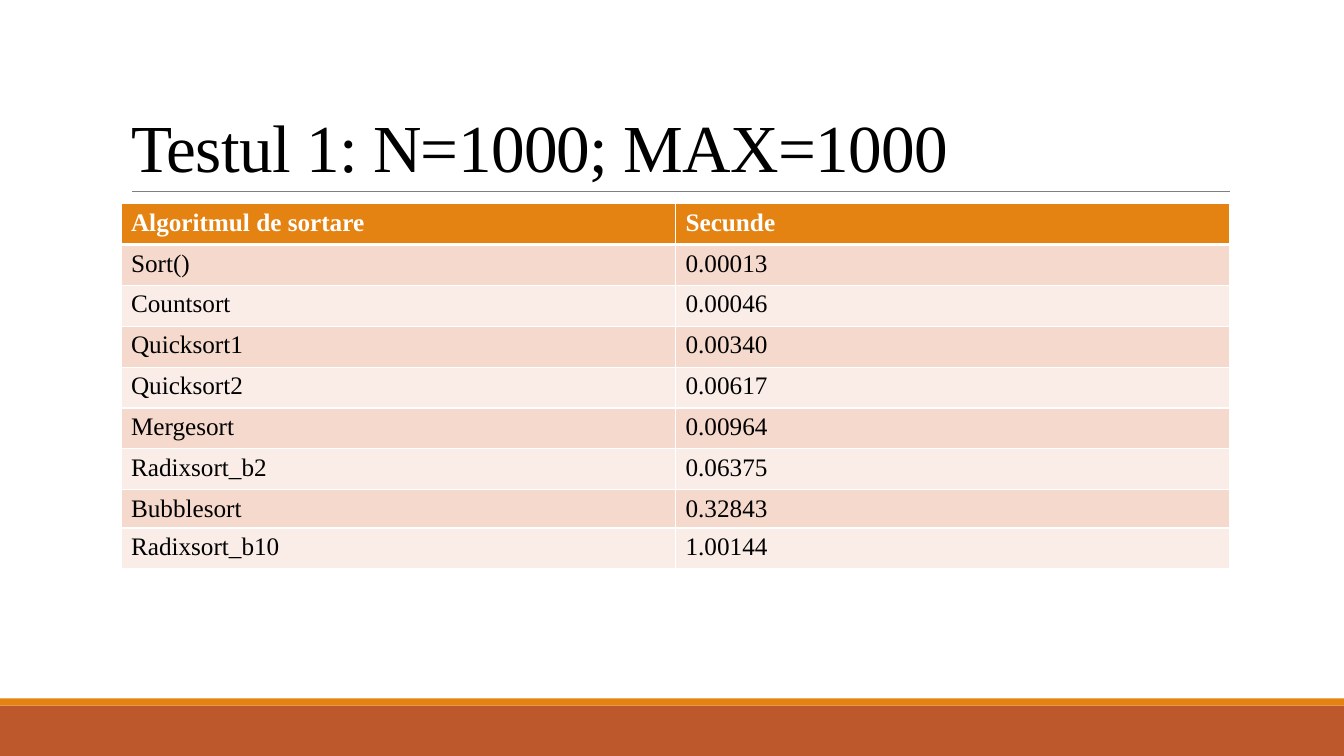
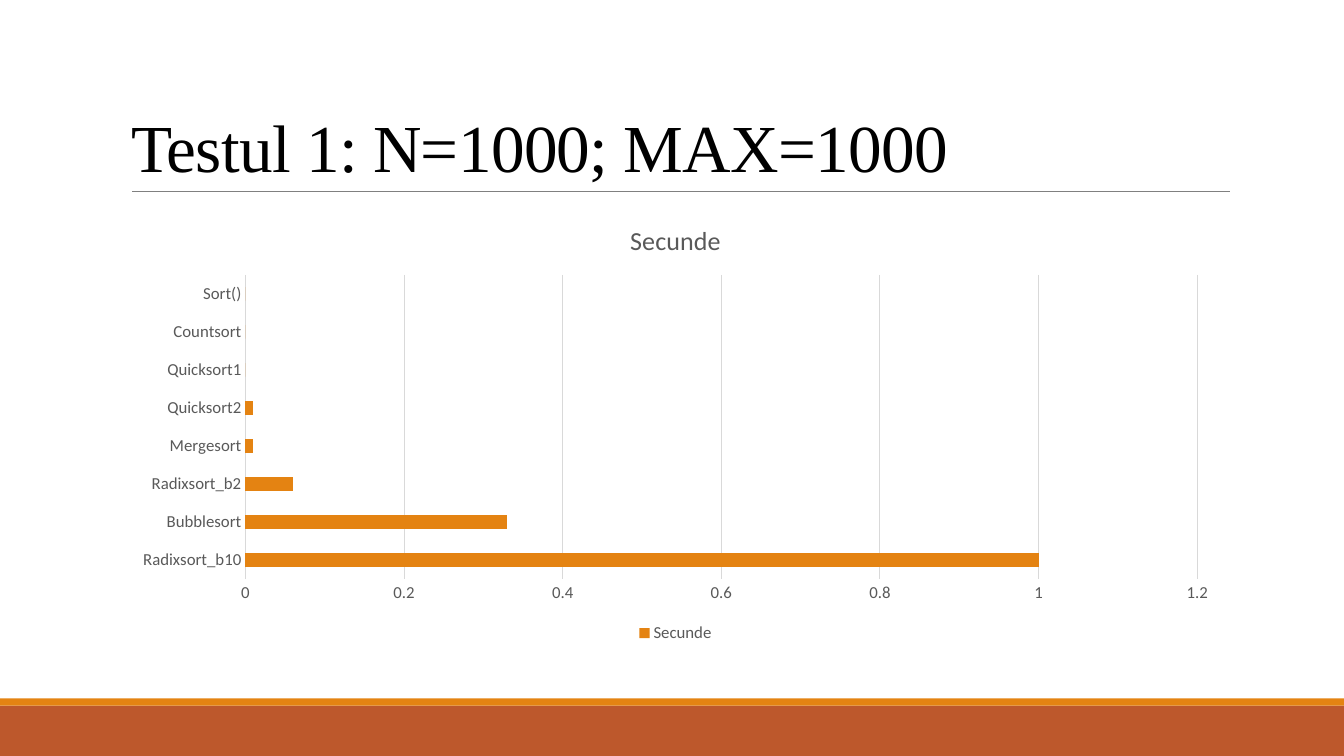
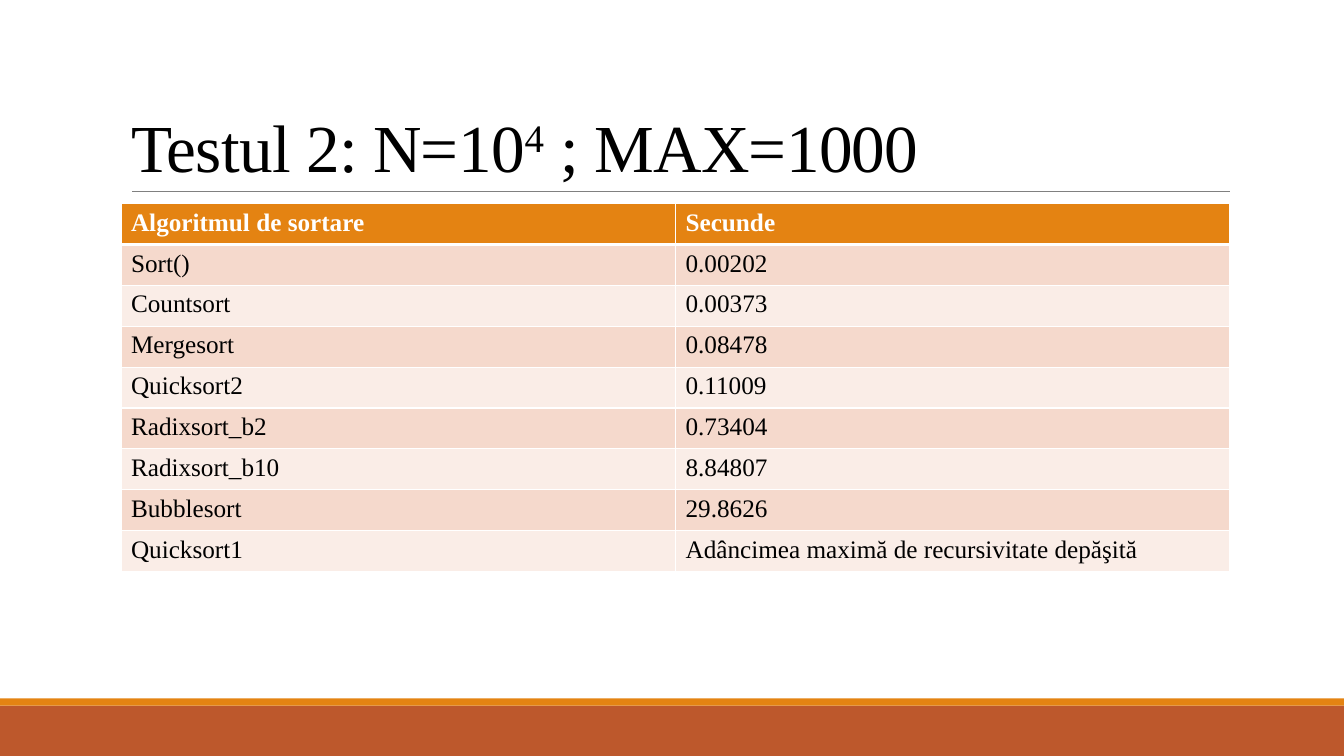
import pptx
import pptx.chart.data
import pptx.dml.color
import pptx.enum.chart
import pptx.enum.shapes
import pptx.enum.text
import pptx.oxml
import pptx.oxml.ns
import pptx.util
from dataclasses import dataclass
from lxml import etree

Inches = pptx.util.Inches
Pt = pptx.util.Pt


@dataclass(frozen=True)
class Theme:
    accent: str = "E48312"
    band: str = "BD582C"
    row_dark: str = "F5D9CC"
    row_light: str = "FAEDE7"
    white: str = "FFFFFF"
    black: str = "000000"
    rule: str = "808080"
    grid: str = "D9D9D9"
    chart_text: str = "595959"
    serif: str = "Times New Roman"
    sans: str = "Calibri"
    title_size: float = 48
    table_size: float = 18
    chart_title_size: float = 18.6
    label_size: float = 12
    chart_size: float = 10


THEME = Theme()
LEFT, BODY_TOP, WIDTH = Inches(1.2), Inches(2.02), Inches(11)
HEADINGS = ("Algoritmul de sortare", "Secunde")
TEST_1 = [
    ("Sort()", "0.00013"),
    ("Countsort", "0.00046"),
    ("Quicksort1", "0.00340"),
    ("Quicksort2", "0.00617"),
    ("Mergesort", "0.00964"),
    ("Radixsort_b2", "0.06375"),
    ("Bubblesort", "0.32843"),
    ("Radixsort_b10", "1.00144"),
]
TEST_2 = [
    ("Sort()", "0.00202"),
    ("Countsort", "0.00373"),
    ("Mergesort", "0.08478"),
    ("Quicksort2", "0.11009"),
    ("Radixsort_b2", "0.73404"),
    ("Radixsort_b10", "8.84807"),
    ("Bubblesort", "29.8626"),
    ("Quicksort1", "Adâncimea maximă de recursivitate depăşită"),
]
TITLE_1 = [("Testul 1: N=1000; MAX=1000", False)]
TITLE_2 = [("Testul 2: N=10", False), ("4", True), (" ; MAX=1000", False)]


def rgb(color):
    return pptx.dml.color.RGBColor.from_string(color)


def set_font(font, name, size, color, bold=False):
    font.name, font.size, font.bold = name, Pt(size), bold
    font.color.rgb = rgb(color)


def style_title(layout):
    title = layout.placeholders[0]
    title.left, title.top, title.width, title.height = (
        LEFT, Inches(0.31), WIDTH, Inches(1.59))
    tf = title.text_frame
    tf.vertical_anchor = pptx.enum.text.MSO_ANCHOR.BOTTOM
    tf.auto_size = pptx.enum.text.MSO_AUTO_SIZE.NONE
    style = pptx.oxml.parse_xml(
        f'<a:lvl1pPr {pptx.oxml.ns.nsdecls("a")} algn="l">'
        '<a:lnSpc><a:spcPct val="85000"/></a:lnSpc>'
        f'<a:defRPr sz="{THEME.title_size * 100}" spc="-50">'
        f'<a:solidFill><a:srgbClr val="{THEME.black}"/></a:solidFill>'
        f'<a:latin typeface="{THEME.serif}"/></a:defRPr></a:lvl1pPr>')
    list_style = title.element.find(".//" + pptx.oxml.ns.qn("a:lstStyle"))
    for level in list(list_style):
        list_style.remove(level)
    list_style.append(style)


def add_band(s, top, height, color):
    band = s.shapes.add_shape(
        pptx.enum.shapes.MSO_SHAPE.RECTANGLE, 0, Inches(top),
        Inches(13.33), Inches(height))
    band.shadow.inherit = False
    band.fill.solid()
    band.fill.fore_color.rgb = rgb(color)
    band.line.fill.background()
    return band


def add_title_rule(s):
    rule = s.shapes.add_connector(
        pptx.enum.shapes.MSO_CONNECTOR.STRAIGHT,
        Inches(1.31), Inches(1.9), Inches(12.2), Inches(1.9))
    rule.line.color.rgb = rgb(THEME.rule)
    rule.line.width = Pt(0.5)
    etree.SubElement(rule.element.spPr, pptx.oxml.ns.qn("a:effectLst"))
    return rule


def style_layout(prs, layout):
    """Put the title style, rule and bottom bands on the layout."""
    for ph in list(layout.placeholders)[1:]:
        layout.shapes.element.remove(ph.element)
    style_title(layout)
    s = prs.slides[0]
    for shape in (add_band(s, 7, 0.5, THEME.band),
                  add_band(s, 6.93, 0.07, THEME.accent),
                  add_title_rule(s)):
        layout.shapes.element.append(shape.element)


def add_title(s, parts):
    p = s.shapes.title.text_frame.paragraphs[0]
    for text, raised in parts:
        r = p.add_run()
        r.text = text
        if raised:
            r.font.size = Pt(THEME.title_size)
            r.font._element.set("baseline", "30000")


def set_borders(cell, top=1, bottom=1):
    tcPr = cell._tc.get_or_add_tcPr()
    for side, width in (("L", 1), ("R", 1), ("T", top), ("B", bottom)):
        tcPr.append(pptx.oxml.parse_xml(
            f'<a:ln{side} {pptx.oxml.ns.nsdecls("a")} w="{Pt(width)}">'
            f'<a:solidFill><a:srgbClr val="{THEME.white}"/></a:solidFill>'
            f'</a:ln{side}>'))


def fill_cell(cell, text, row):
    header = row == 0
    set_borders(cell, top=3 if row == 1 else 1, bottom=3 if header else 1)
    cell.fill.solid()
    stripe = THEME.row_dark if row % 2 else THEME.row_light
    cell.fill.fore_color.rgb = rgb(THEME.accent if header else stripe)
    r = cell.text_frame.paragraphs[0].add_run()
    r.text = text
    set_font(r.font, THEME.serif, THEME.table_size,
             THEME.white if header else THEME.black, header)


def add_results_table(s, results, short_row=None):
    rows = [HEADINGS, *results]
    table = s.shapes.add_table(
        len(rows), len(HEADINGS), LEFT, BODY_TOP, WIDTH, Inches(3.65)).table
    if short_row is not None:
        table.rows[short_row].height = Inches(0.38)
    for i, values in enumerate(rows):
        for j, text in enumerate(values):
            fill_cell(table.cell(i, j), text, i)


def style_axis(axis):
    axis.major_tick_mark = pptx.enum.chart.XL_TICK_MARK.NONE
    axis.minor_tick_mark = pptx.enum.chart.XL_TICK_MARK.NONE
    set_font(axis.tick_labels.font, THEME.sans, THEME.label_size,
             THEME.chart_text)


def style_thin_line(line):
    line.color.rgb = rgb(THEME.grid)
    line.width = Pt(0.75)


def add_results_chart(s, results):
    data = pptx.chart.data.CategoryChartData()
    data.categories = [name for name, _ in reversed(results)]
    data.add_series(
        HEADINGS[1], [round(float(v), 2) for _, v in reversed(results)])
    chart = s.shapes.add_chart(
        pptx.enum.chart.XL_CHART_TYPE.BAR_CLUSTERED,
        LEFT, BODY_TOP, WIDTH, Inches(4.4), data).chart
    set_font(chart.font, THEME.sans, THEME.chart_size, THEME.black)

    chart.has_title = True
    r = chart.chart_title.text_frame.paragraphs[0].add_run()
    r.text = HEADINGS[1]
    set_font(r.font, THEME.sans, THEME.chart_title_size, THEME.chart_text)

    chart.has_legend = True
    chart.legend.position = pptx.enum.chart.XL_LEGEND_POSITION.BOTTOM
    chart.legend.include_in_layout = False
    set_font(chart.legend.font, THEME.sans, THEME.label_size, THEME.chart_text)

    style_axis(chart.category_axis)
    style_thin_line(chart.category_axis.format.line)
    value_axis = chart.value_axis
    style_axis(value_axis)
    value_axis.minimum_scale, value_axis.maximum_scale = 0, 1.2
    value_axis.major_unit = 0.2
    value_axis.format.line.fill.background()
    value_axis.has_major_gridlines = True
    style_thin_line(value_axis.major_gridlines.format.line)

    plot = chart.plots[0]
    plot.gap_width = 182
    plot.vary_by_categories = False
    fill = plot.series[0].format.fill
    fill.solid()
    fill.fore_color.rgb = rgb(THEME.accent)


def main():
    prs = pptx.Presentation()
    prs.slide_width, prs.slide_height = Inches(13.33), Inches(7.5)
    layout = prs.slide_layouts.get_by_name("Title Only")
    slides = [prs.slides.add_slide(layout) for _ in range(3)]
    style_layout(prs, layout)
    for s, title in zip(slides, (TITLE_1, TITLE_1, TITLE_2)):
        add_title(s, title)
    add_results_table(slides[0], TEST_1, short_row=7)
    add_results_chart(slides[1], TEST_1)
    add_results_table(slides[2], TEST_2)
    prs.save("out.pptx")


if __name__ == "__main__":
    main()
